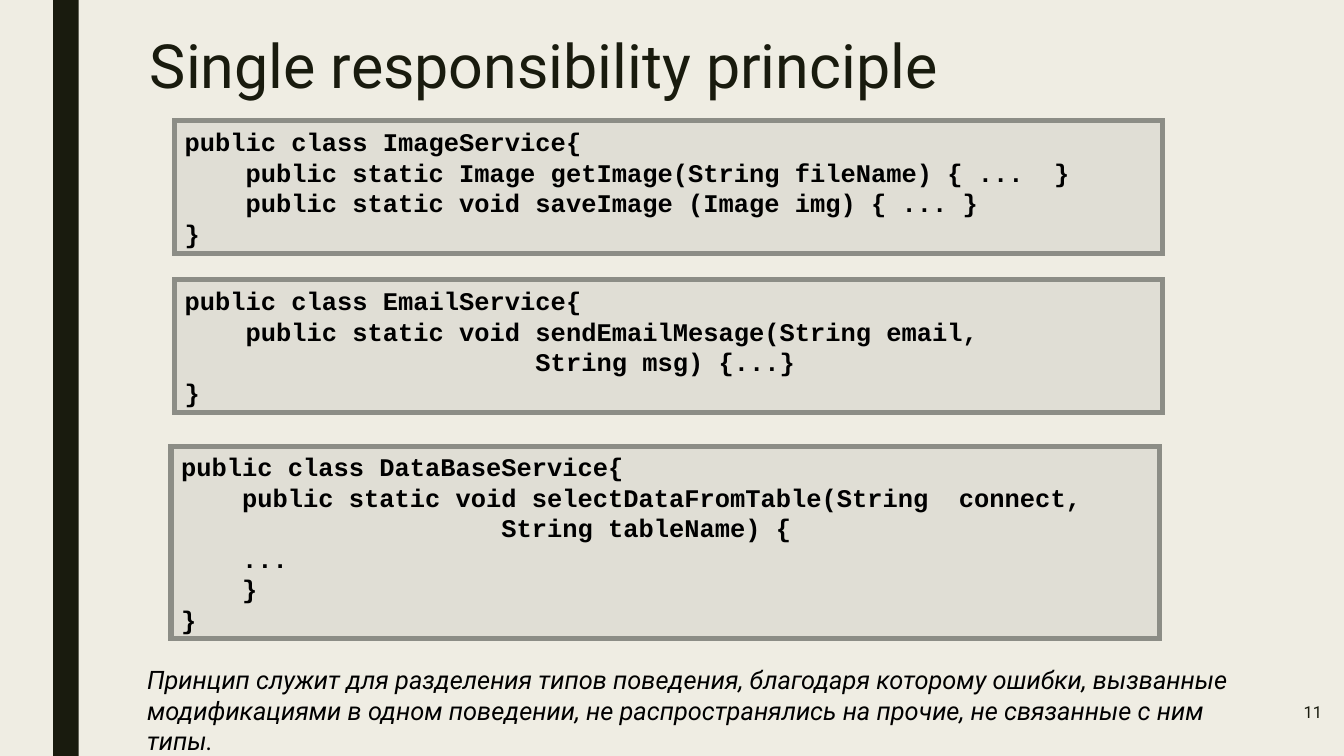
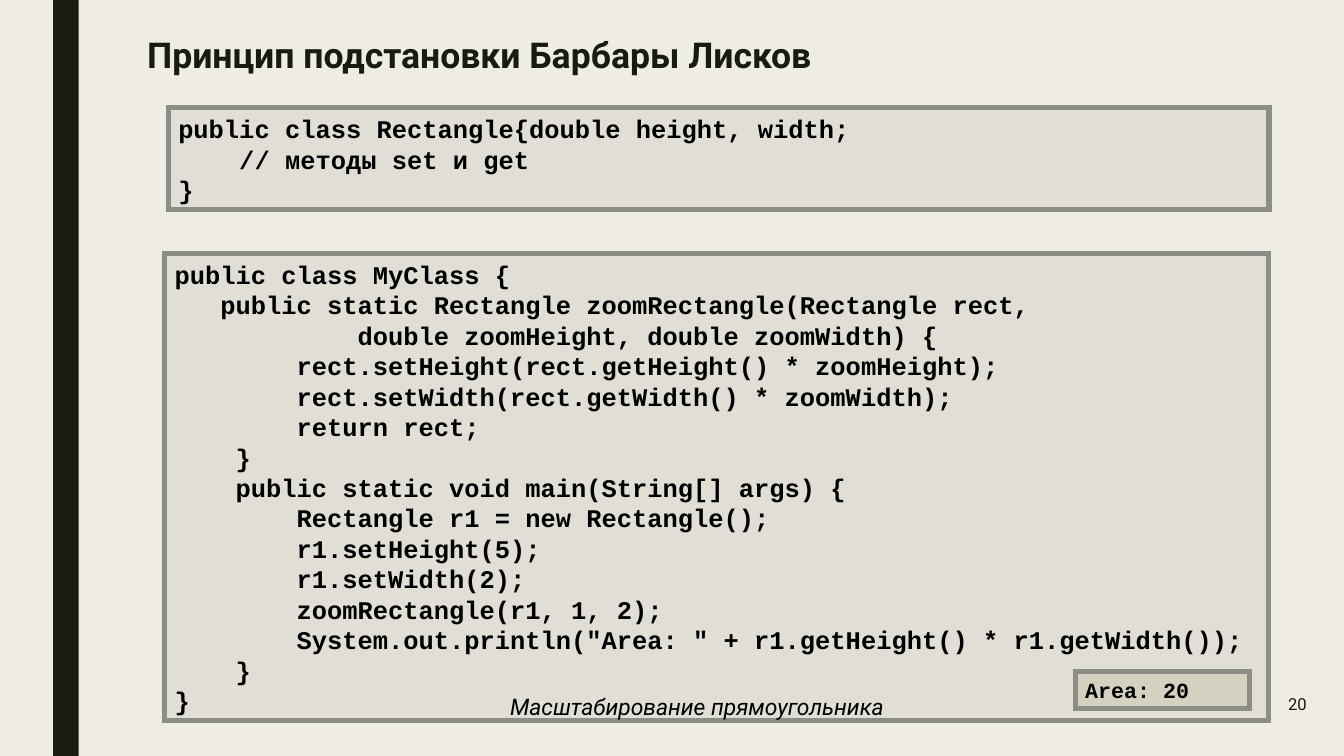
from lxml import etree
from pptx import Presentation
from pptx.dml.color import RGBColor
from pptx.enum import shapes, text
from pptx.oxml.ns import qn
from pptx.util import Inches, Pt

CREAM = RGBColor(0xEF, 0xED, 0xE3)
DARK = RGBColor(0x19, 0x1B, 0x0E)
GRAY = RGBColor(0x8C, 0x8D, 0x86)
OLIVE = RGBColor(0x94, 0x8A, 0x55)
BLACK = RGBColor(0, 0, 0)
SANS = "Roboto"
MONO = "Courier New"
WIDTH, HEIGHT = 14.7, 8.27

IMAGE_SERVICE = """\
public class ImageService{
    public static Image getImage(String fileName) { ...  }
    public static void saveImage (Image img) { ... }
}"""

EMAIL_SERVICE = """\
public class EmailService{
    public static void sendEmailMesage(String email,
                       String msg) {...}
}"""

DATABASE_SERVICE = """\
public class DataBaseService{
    public static void selectDataFromTable(String  connect,
                     String tableName) {
    ...
    }
}"""

RECTANGLE = """\
public class Rectangle{double height, width;
    // методы set и get
}"""

MY_CLASS = """\
public class MyClass {
   public static Rectangle zoomRectangle(Rectangle rect,
            double zoomHeight, double zoomWidth) {
        rect.setHeight(rect.getHeight() * zoomHeight);
        rect.setWidth(rect.getWidth() * zoomWidth);
        return rect;
    }
    public static void main(String[] args) {
        Rectangle r1 = new Rectangle();
        r1.setHeight(5);
        r1.setWidth(2);
        zoomRectangle(r1, 1, 2);
        System.out.println("Area: " + r1.getHeight() * r1.getWidth());
    }
}"""


def write(tf, content, size, name=SANS, color=BLACK, bold=False, italic=False,
          align=text.PP_ALIGN.LEFT, spacing=None):
    """Fill a text frame, one paragraph per line, all in one style."""
    tf.auto_size = text.MSO_AUTO_SIZE.NONE
    for i, line in enumerate(content.split("\n")):
        p = tf.add_paragraph() if i else tf.paragraphs[0]
        p.text = line
        p.alignment = align
        p.line_spacing = spacing
        font = p.font
        font.name, font.size, font.color.rgb = name, Pt(size), color
        font.bold, font.italic = bold, italic


def add_rect(s, box, color):
    rect = s.shapes.add_shape(shapes.MSO_SHAPE.RECTANGLE, *map(Inches, box))
    rect.shadow.inherit = False
    rect.fill.solid()
    rect.fill.fore_color.rgb = color
    rect.line.fill.background()
    return rect


def add_code(s, box, code, size=20, color=GRAY):
    """Add a framed code listing on a 15 % tint of the given colour."""
    rect = add_rect(s, box, color)
    tint = rect.element.spPr.find(qn("a:solidFill"))[0]
    etree.SubElement(tint, qn("a:alpha"), val="15000")
    rect.line.color.rgb = GRAY
    rect.line.width = Pt(4)
    etree.SubElement(rect.element.spPr.find(qn("a:ln")), qn("a:miter"), lim="800000")
    tf = rect.text_frame
    tf.vertical_anchor = text.MSO_ANCHOR.TOP
    tf.margin_left = tf.margin_right = Inches(0.11)
    tf.margin_top = tf.margin_bottom = Inches(0.06)
    write(tf, code, size, MONO, bold=True)


def add_text(s, box, content, size, wrap=True, anchor=text.MSO_ANCHOR.TOP, **style):
    tf = s.shapes.add_textbox(*map(Inches, box)).text_frame
    tf.word_wrap = wrap
    tf.vertical_anchor = anchor
    write(tf, content, size, **style)


def add_number(s, left, top, number):
    add_text(s, (left, top, 1.45, 0.49), number, 13, anchor=text.MSO_ANCHOR.MIDDLE,
             color=DARK, align=text.PP_ALIGN.RIGHT)


def add_slide(prs, title, box, size, bold=False):
    s = prs.slides.add_slide(prs.slide_layouts.get_by_name("Title Only"))
    sp = s.shapes.title
    sp.left, sp.top, sp.width, sp.height = map(Inches, box)
    sp.text_frame.vertical_anchor = text.MSO_ANCHOR.TOP
    write(sp.text_frame, title, size, color=DARK, bold=bold, spacing=0.89)
    return s


def style_master(prs, s):
    """Set the background and move a side band from slide s to the master."""
    master = prs.slide_master
    master.background.fill.solid()
    master.background.fill.fore_color.rgb = CREAM
    band = add_rect(s, (0.58, 0, 0.28, HEIGHT), DARK)
    master.shapes.element.insert(2, band.element)


def build_responsibility(prs):
    s = add_slide(prs, "Single responsibility principle", (1.54, 0.35, 11.57, 0.94), 48)
    add_number(s, 13.11, 7.54, "11")
    add_code(s, (1.91, 1.32, 10.81, 1.45), IMAGE_SERVICE)
    add_code(s, (1.91, 3.06, 10.81, 1.45), EMAIL_SERVICE)
    add_code(s, (1.87, 4.88, 10.81, 2.11), DATABASE_SERVICE)
    add_text(s, (1.51, 7.22, 12.17, 1.1),
             "Принцип служит для разделения типов поведения, благодаря которому ошибки, "
             "вызванные модификациями в одном поведении, не распространялись на прочие, "
             "не связанные с ним типы.", 20, italic=True)
    return s


def build_substitution(prs):
    s = add_slide(prs, "Принцип подстановки Барбары Лисков",
                  (1.51, 0.37, 7.94, 0.93), 28, bold=True)
    add_number(s, 12.94, 7.45, "20")
    add_code(s, (1.84, 1.18, 12.04, 1.11), RECTANGLE)
    add_code(s, (1.8, 2.77, 12.07, 5.11), MY_CLASS)
    add_code(s, (11.76, 7.35, 1.91, 0.4), "Area: 20", 17, OLIVE)
    add_text(s, (5.48, 7.53, 4.51, 0.4), "Масштабирование прямоугольника", 18,
             wrap=False, italic=True)


def main():
    prs = Presentation()
    prs.slide_width, prs.slide_height = Inches(WIDTH), Inches(HEIGHT)
    style_master(prs, build_responsibility(prs))
    build_substitution(prs)
    prs.save("out.pptx")


if __name__ == "__main__":
    main()
